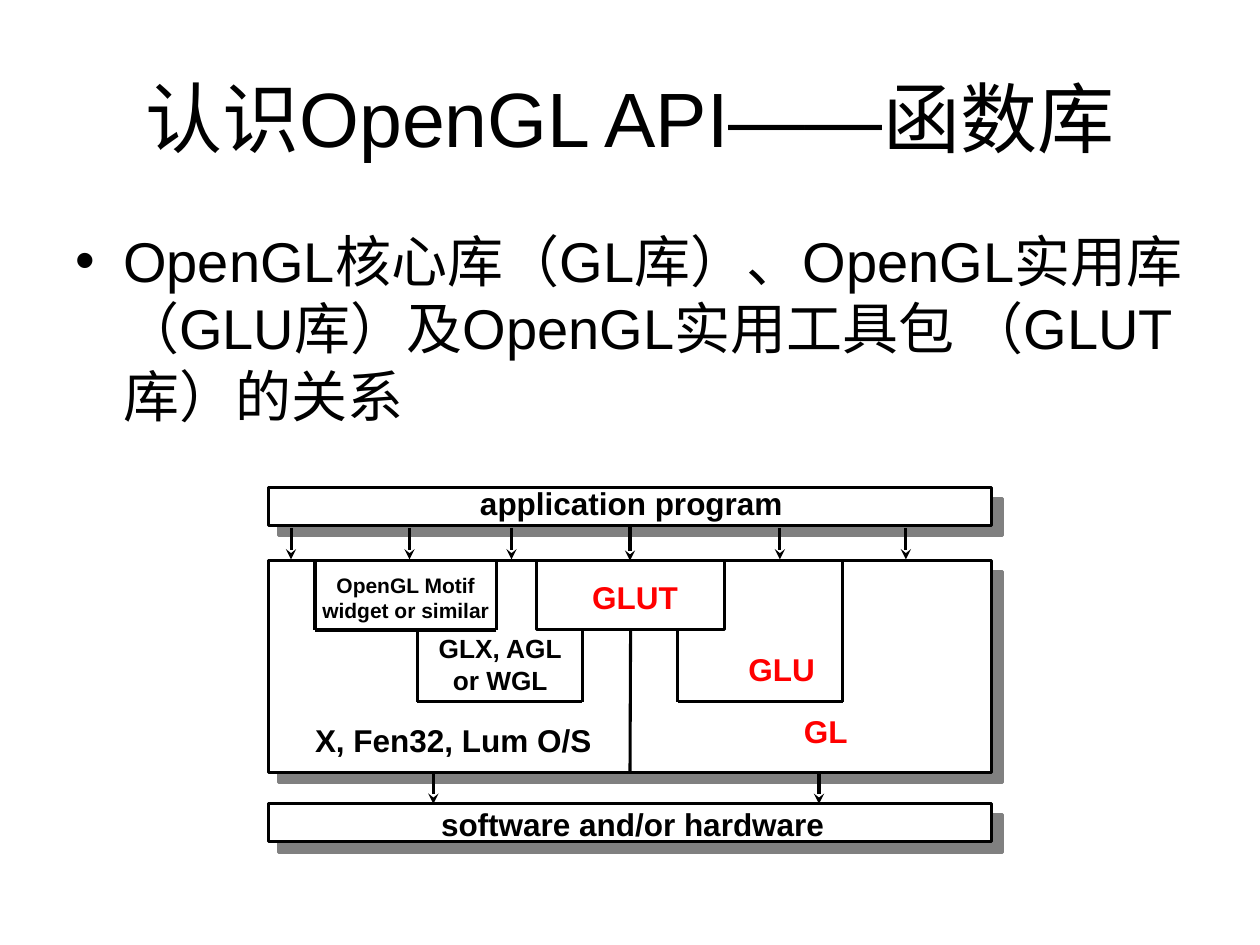
from dataclasses import dataclass
from typing import Any, Optional

from lxml.etree import SubElement as Sub
from pptx import Presentation
from pptx.dml.color import RGBColor as Rgb
from pptx.enum.shapes import MSO_CONNECTOR as Conn, MSO_SHAPE as Kind
from pptx.enum.text import MSO_ANCHOR as Anchor, MSO_AUTO_SIZE as Fit, PP_ALIGN as Align
from pptx.oxml.ns import qn
from pptx.util import Inches, Pt


@dataclass(frozen=True)
class Theme:
    """Colours, font and sizes."""
    ink: str = "000000"
    key: str = "FF0000"
    paper: str = "FFFFFF"
    shade: str = "808080"
    font: str = "Arial"
    title: int = 44
    body: int = 32
    label: int = 18
    small: int = 15
    tiny: int = 12
    line: float = 1.75


@dataclass(frozen=True)
class Box:
    """A rectangle in inches."""
    left: float
    top: float
    width: float
    height: float
    shadow: bool = True


@dataclass(frozen=True)
class Label:
    """A bold text on the diagram."""
    text: str
    box: Box
    size: int
    tint: str
    mid: bool = False


@dataclass(frozen=True)
class Line:
    """A straight line, joined where begin or end names a box."""
    x1: float
    y1: float
    x2: float
    y2: float
    arrow: bool = False
    begin: Optional[tuple[str, int]] = None
    end: Optional[tuple[str, int]] = None


LOOK = Theme()
TOP, MID, LOW = 4.44, 5, 5.57
BOXES = {
    "main": Box(2.13, 4.45, 5.74, 1.68),
    "glut": Box(4.26, 4.45, 1.49, 0.55, False),
    "base": Box(2.13, 6.38, 5.74, 0.3),
    "app": Box(2.13, 3.87, 5.74, 0.3),
}
LABELS = (
    Label("GLUT", Box(4.62, 4.55, 0.83, 0.38), LOOK.label, LOOK.key),
    Label("GLU", Box(5.86, 5.12, 0.68, 0.38), LOOK.label, LOOK.key),
    Label("GL", Box(6.3, 5.61, 0.5, 0.38), LOOK.label, LOOK.key),
    Label("GLX, AGL\vor WGL", Box(3.4, 4.98, 1.14, 0.58), LOOK.small, LOOK.ink, True),
    Label("X, Fen32, Lum O/S", Box(2.42, 5.68, 2.32, 0.38), LOOK.label, LOOK.ink),
    Label("software and/or hardware", Box(3.42, 6.35, 3.19, 0.38), LOOK.label, LOOK.ink),
    Label("application program", Box(3.73, 3.8, 2.56, 0.38), LOOK.label, LOOK.ink),
    Label("OpenGL Motif\nwidget or similar", Box(2.48, 4.5, 1.48, 0.48), LOOK.tiny, LOOK.ink, True),
)
WALLS = (
    Line(6.69, TOP, 6.69, LOW),
    Line(6.69, LOW, 5.38, LOW),
    Line(5.38, MID, 5.38, LOW),
    Line(3.31, MID, 3.31, LOW),
    Line(4.62, LOW, 3.31, LOW),
    Line(4.62, MID, 4.62, LOW),
    Line(5, MID, 5, 6.13, False, ("glut", 2), ("main", 2)),
    Line(3.94, MID, 2.5, MID),
    Line(3.94, TOP, 3.94, MID),
    Line(2.5, TOP, 2.5, MID),
)
CALLS = tuple(Line(x, 4.19, x, TOP, True) for x in (2.31, 3.25, 4.06, 6.19, 7.19))
JOINT = Line(5, 4.19, 5, TOP, True, ("app", 2), ("main", 0))
DROPS = tuple(Line(x, 6.13, x, 6.38, True) for x in (3.44, 6.5))


def put(item: Any, vals: dict[str, Any]) -> None:
    """Set each named value on the item."""
    for name, val in vals.items():
        setattr(item, name, val)


def area(box: Box) -> tuple[int, ...]:
    """Give the box as lengths."""
    return tuple(Inches(n) for n in (box.left, box.top, box.width, box.height))


def write(frame: Any, text: str, size: int, tint: str, bold: bool, align: Any) -> None:
    """Fill a text frame in one style."""
    frame.text = text
    for para in frame.paragraphs:
        para.alignment = align
        for run in para.runs:
            put(run.font, {"name": LOOK.font, "size": Pt(size), "bold": bold})
            run.font.color.rgb = Rgb.from_string(tint)


def stroke(line: Any) -> None:
    """Give a line the diagram style."""
    line.width = Pt(LOOK.line)
    line.color.rgb = Rgb.from_string(LOOK.ink)


def draw_box(slide: Any, box: Box) -> Any:
    """Draw a panel, with a hard shadow if asked."""
    shape = slide.shapes.add_shape(Kind.RECTANGLE, *area(box))
    shape.shadow.inherit = False
    shape.fill.solid()
    shape.fill.fore_color.rgb = Rgb.from_string(LOOK.paper)
    stroke(shape.line)
    if box.shadow:
        fx = shape.element.spPr.find(qn("a:effectLst"))
        cast = Sub(fx, qn("a:outerShdw"), dist=str(Pt(8.5)), dir="2700000",
                   algn="ctr", rotWithShape="0")
        Sub(cast, qn("a:srgbClr"), val=LOOK.shade)
    return shape


def draw_label(slide: Any, label: Label) -> None:
    """Draw a bold label with slack beside its text."""
    frame = slide.shapes.add_textbox(*area(label.box)).text_frame
    left, right = (0.02, 0.02) if label.mid else (0.08, 0)
    thin = Inches(0.04)
    put(frame, {"margin_left": Inches(left), "margin_right": Inches(right),
                "margin_top": thin, "margin_bottom": thin,
                "word_wrap": True, "auto_size": Fit.NONE})
    align = Align.CENTER if label.mid else Align.LEFT
    write(frame, label.text, label.size, label.tint, True, align)


def draw_line(slide: Any, line: Line, made: dict[str, Any]) -> None:
    """Draw a line or an arrow."""
    ends = (Inches(n) for n in (line.x1, line.y1, line.x2, line.y2))
    link = slide.shapes.add_connector(Conn.STRAIGHT, *ends)
    stroke(link.line)
    if line.arrow:
        Sub(link.line._get_or_add_ln(), qn("a:tailEnd"), type="stealth")
    Sub(link.element.spPr, qn("a:effectLst"))
    for join, side in ((link.begin_connect, line.begin), (link.end_connect, line.end)):
        if side:
            join(made[side[0]], side[1])


def draw_body(slide: Any) -> None:
    """Draw the bullet text."""
    frame = slide.shapes.add_textbox(*area(Box(0.5, 1.75, 9, 4.95))).text_frame
    frame.word_wrap = True
    text = "OpenGL核心库（GL库）、OpenGL实用库（GLU库）及OpenGL实用工具包 （GLUT库）的关系"
    write(frame, text, LOOK.body, LOOK.ink, False, Align.LEFT)
    props = frame.paragraphs[0]._p.get_or_add_pPr()
    for name, val in {"marL": 0.38, "indent": -0.38}.items():
        props.set(name, str(Inches(val)))
    Sub(Sub(props, qn("a:buClr")), qn("a:srgbClr"), val=LOOK.ink)
    Sub(props, qn("a:buFont"), typeface=LOOK.font)
    Sub(props, qn("a:buChar"), char="•")


def main() -> None:
    """Build and save the slide."""
    deck = Presentation()
    put(deck, {"slide_width": Inches(10), "slide_height": Inches(7.5)})
    slide = deck.slides.add_slide(deck.slide_layouts[5])
    title = slide.shapes.title
    put(title, dict(zip(("left", "top", "width", "height"), area(Box(0.5, 0.3, 9, 1.25)))))
    title.text_frame.vertical_anchor = Anchor.MIDDLE
    write(title.text_frame, "认识OpenGL API——函数库", LOOK.title, LOOK.ink, False, Align.CENTER)
    draw_body(slide)
    made = {name: draw_box(slide, box) for name, box in BOXES.items()}
    for line in (*WALLS, *CALLS, JOINT, *DROPS):
        draw_line(slide, line, made)
    for label in LABELS:
        draw_label(slide, label)
    deck.save("out.pptx")


if __name__ == "__main__":
    main()
